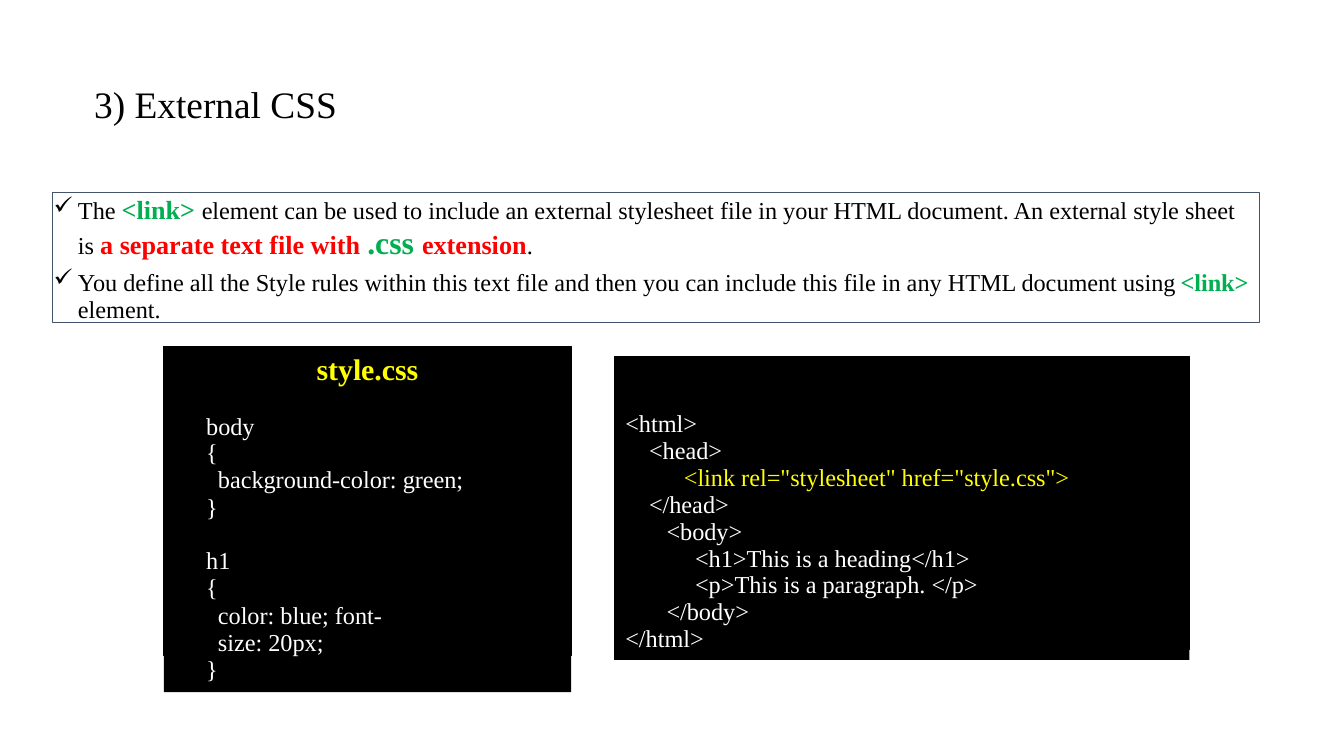
"""Build the External CSS slide with its notes and two code panels."""
from lxml.etree import SubElement
from pptx import Presentation
from pptx.dml.color import RGBColor
from pptx.enum.shapes import MSO_SHAPE
from pptx.enum.text import MSO_ANCHOR, PP_ALIGN
from pptx.oxml.ns import qn
from pptx.util import Pt

BLACK = RGBColor(0x00, 0x00, 0x00)
WHITE = RGBColor(0xFF, 0xFF, 0xFF)
GREEN = RGBColor(0x00, 0xAF, 0x50)
RED = RGBColor(0xFF, 0x00, 0x00)
YELLOW = RGBColor(0xFF, 0xFF, 0x00)
SLATE = RGBColor(0x44, 0x54, 0x6A)

PLAIN = (13, BLACK, False)
TAG = (14, GREEN, True)
STRONG = (14, RED, True)
CODE = (13, WHITE, False)


def set_frame(tf, top, right=0, anchor=MSO_ANCHOR.TOP):
    fmt = {"word_wrap": True, "vertical_anchor": anchor, "margin_left": 0,
           "margin_right": Pt(right), "margin_top": Pt(top), "margin_bottom": 0}
    for k, v in fmt.items():
        setattr(tf, k, v)


def add_par(tf, runs, left=0, hang=0, bullet=None, **fmt):
    p = tf.paragraphs[0]
    if p.runs:
        p = tf.add_paragraph()
    pPr = p._p.get_or_add_pPr()
    pPr.set("marL", str(Pt(left)))
    pPr.set("indent", str(Pt(-hang)))
    if bullet:
        SubElement(pPr, qn("a:buChar")).set("char", bullet)
    for k, v in {"alignment": PP_ALIGN.LEFT, **fmt}.items():
        setattr(p, k, v)
    for text, (size, color, bold) in runs:
        for i, line in enumerate(text.split("\n")):
            if i:
                p.add_line_break()
            r = p.add_run()
            r.text = line
            for k, v in {"name": "Times New Roman", "size": Pt(size), "bold": bold}.items():
                setattr(r.font, k, v)
            r.font.color.rgb = color


prs = Presentation()
prs.slide_width, prs.slide_height = Pt(720), Pt(405)
s = prs.slides.add_slide(prs.slide_layouts[6])

tf = s.shapes.add_textbox(Pt(49.7), Pt(42.5), Pt(620.6), Pt(25.2)).text_frame
set_frame(tf, 0.7, anchor=MSO_ANCHOR.MIDDLE)
add_par(tf, [("3) External CSS", (20, BLACK, False))], left=0.7)

sp = s.shapes.add_shape(MSO_SHAPE.RECTANGLE, Pt(28.1), Pt(103), Pt(646.6), Pt(69.8))
sp.shadow.inherit = False
sp.fill.background()
sp.line.color.rgb = SLATE
sp.line.width = Pt(0.75)
tf = sp.text_frame
set_frame(tf, 1.8, right=3.5)
add_par(tf, [
    ("The ", PLAIN), ("<link> ", TAG),
    ("element can be used to include an external stylesheet file in your HTML document. "
     "An external style sheet is ", PLAIN),
    ("a separate text file with ", STRONG), (".css ", (17, GREEN, True)),
    ("extension", STRONG), (".", PLAIN),
], left=13.7, hang=13, bullet="✓", line_spacing=0.95)
add_par(tf, [
    ("You define all the Style rules within this text file and then you can include "
     "this file in any HTML document using ", PLAIN),
    ("<link> ", (13, GREEN, True)), ("element.", PLAIN),
], left=13.7, hang=13, bullet="✓", line_spacing=Pt(14.4), space_before=Pt(4.4))

panels = []
for x, y, w, h, frame_h, top in [
    (87.8, 185.8, 218.2, 185, 165.6, 2.2),
    (329, 190.8, 308.2, 162.7, 157, 29.2),
]:
    fb = s.shapes.build_freeform(Pt(x), Pt(y + frame_h))
    fb.add_line_segments([(Pt(x + w), Pt(y + frame_h)), (Pt(x + w), Pt(y)), (Pt(x), Pt(y))])
    sp = fb.convert_to_shape()
    sp.shadow.inherit = False
    sp.fill.background()
    sp.line.color.rgb = BLACK
    sp.line.width = Pt(0.5)

    sp = s.shapes.add_shape(MSO_SHAPE.RECTANGLE, Pt(x), Pt(y), Pt(w), Pt(h))
    sp.shadow.inherit = False
    sp.fill.solid()
    sp.fill.fore_color.rgb = BLACK
    sp.line.fill.background()
    set_frame(sp.text_frame, top)
    panels.append(sp.text_frame)

css, html = panels
add_par(css, [("style.css", (16, YELLOW, True))], alignment=PP_ALIGN.CENTER)
for text, left, before, spacing in [
    ("body", 22.7, 13.8, 14.7),
    ("{", 22.7, 0, 14.4),
    ("background-color: green;", 29, 0, 14.4),
    ("}", 22.7, 0, 14.7),
    ("h1", 22.7, 13.8, 14.7),
    ("{", 22.7, 0, 14.4),
    ("color: blue; font-\nsize: 20px;", 29, 0.6, 14.5),
    ("}", 22.7, 0, 14.1),
]:
    add_par(css, [(text, CODE)], left=left, line_spacing=Pt(spacing), space_before=Pt(before))

for text, left, color in [
    ("<html>", 6, WHITE),
    ("<head>", 18.7, WHITE),
    ('<link rel="stylesheet" href="style.css">', 37.4, YELLOW),
    ("</head>", 18.7, WHITE),
    ("<body>", 28.1, WHITE),
    ("<h1>This is a heading</h1>", 43.4, WHITE),
    ("<p>This is a paragraph. </p>", 43.4, WHITE),
    ("</body>", 28.1, WHITE),
    ("</html>", 6, WHITE),
]:
    add_par(html, [(text, (13, color, False))], left=left, line_spacing=Pt(14.4))

prs.save("out.pptx")
